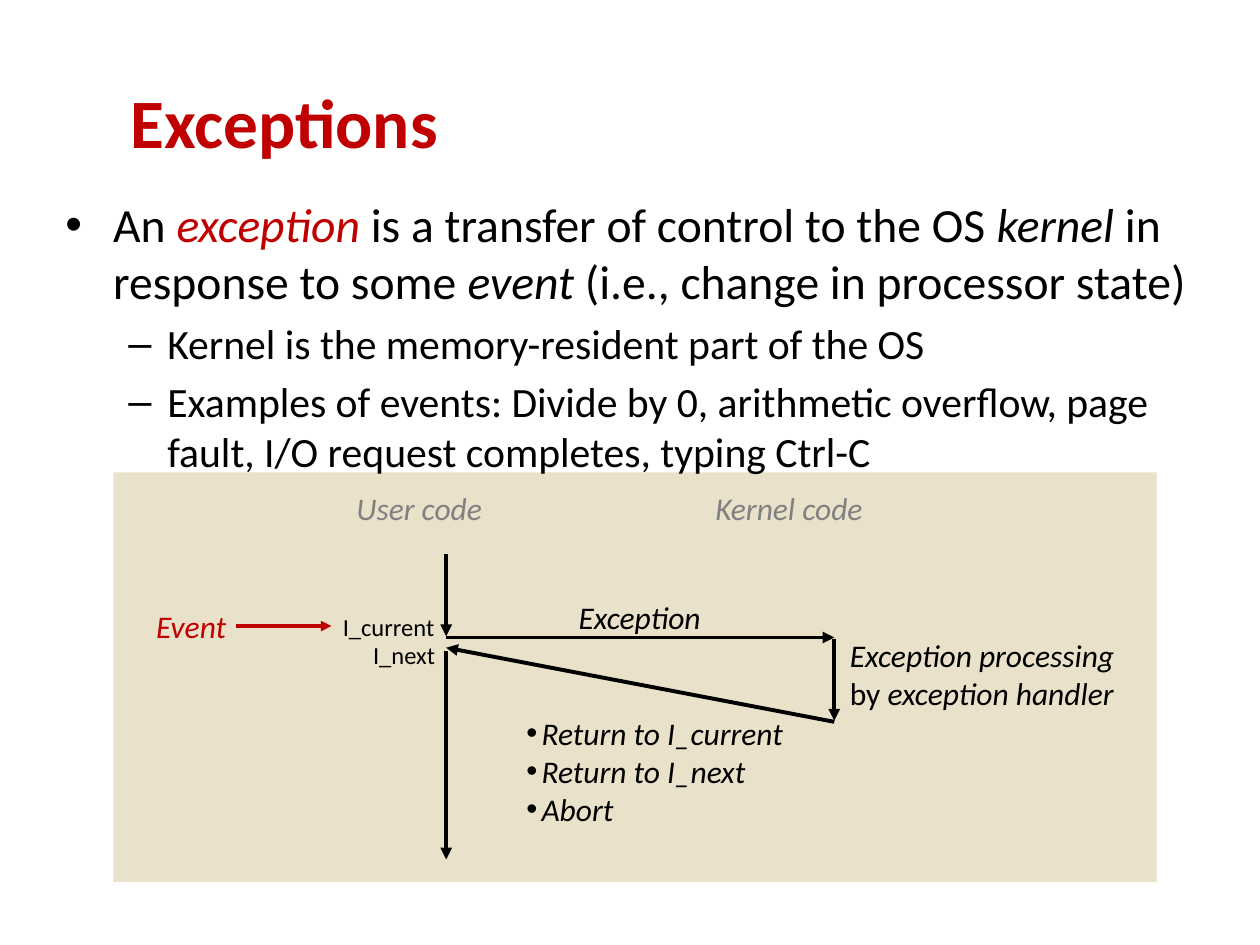
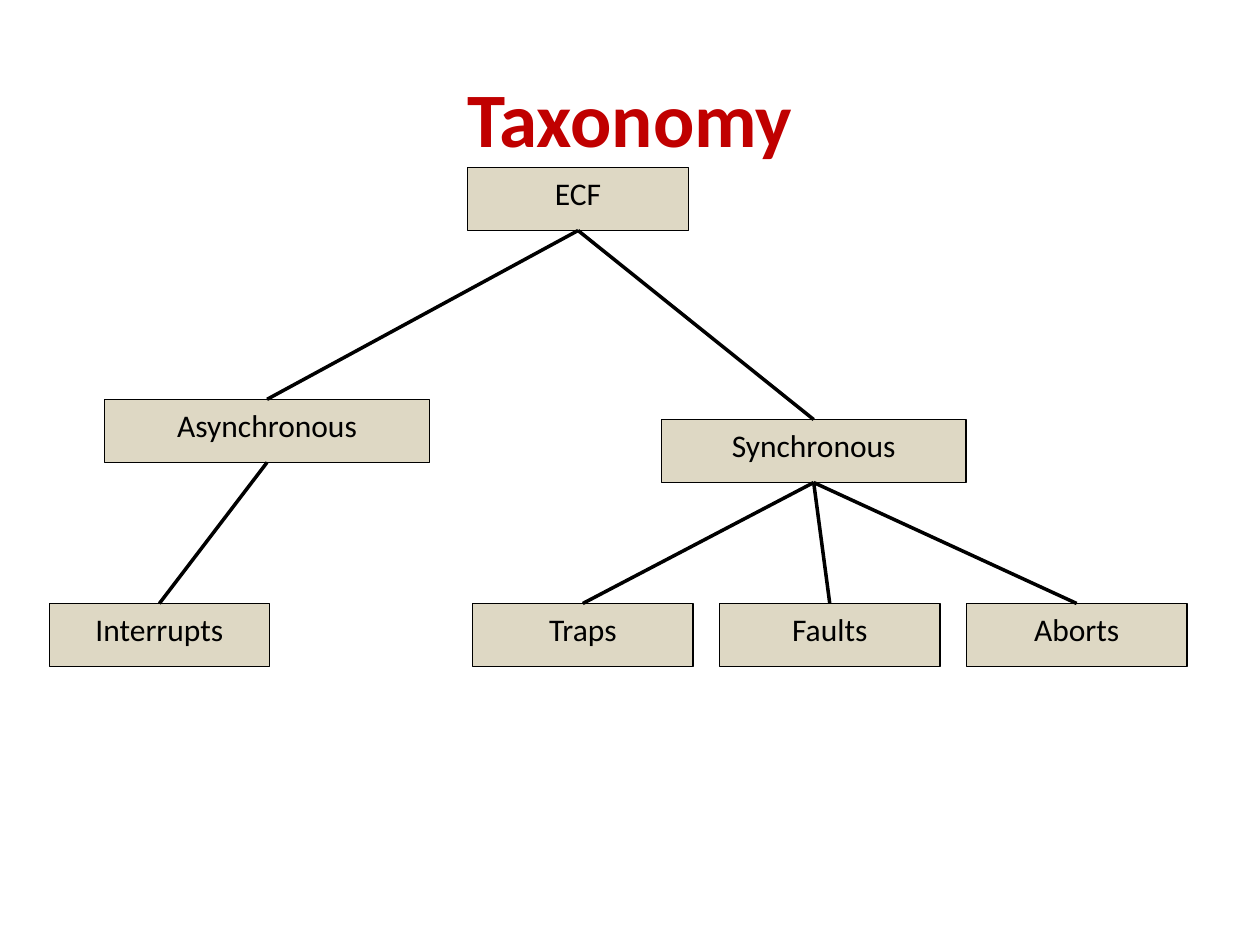
from dataclasses import dataclass

from pptx import Presentation
from pptx.dml.color import RGBColor
from pptx.enum.shapes import MSO_CONNECTOR, MSO_SHAPE
from pptx.enum.text import MSO_ANCHOR, PP_ALIGN
from pptx.oxml.ns import qn
from pptx.util import Inches, Pt
from lxml import etree

STRAIGHT = MSO_CONNECTOR.STRAIGHT
RECTANGLE = MSO_SHAPE.RECTANGLE
TOP, MIDDLE = MSO_ANCHOR.TOP, MSO_ANCHOR.MIDDLE
LEFT, CENTER = PP_ALIGN.LEFT, PP_ALIGN.CENTER
BOTTOM_SITE, TOP_SITE = 2, 0

FONT = "Calibri"
RED, BLACK, GRAY = "C00000", "000000", "808080"
PANEL_FILL, NODE_FILL = "E9E1C9", "DED8C4"
ITALIC = {"italic": True}


@dataclass
class Box:
    """A rectangle in inches; its contents are placed in percent of its size."""
    left: float
    top: float
    width: float
    height: float

    def point(self, x, y):
        return (Inches(self.left + self.width * x / 100),
                Inches(self.top + self.height * y / 100))

    def area(self, x, y, width, height):
        return Box(self.left + self.width * x / 100,
                   self.top + self.height * y / 100,
                   self.width * width / 100, self.height * height / 100)

    def lengths(self):
        return [Inches(n) for n in (self.left, self.top, self.width, self.height)]


PAGE = Box(0, 0, 10, 7.5)


def rgb(color):
    return RGBColor.from_string(color)


def set_values(target, values):
    for name, value in values.items():
        setattr(target, name, value)


def add_runs(paragraph, runs, size, color=BLACK, **font_values):
    """Each run is a string or a (string, overriding format values) pair."""
    for item in runs:
        text, changes = (item, {}) if isinstance(item, str) else item
        values = {"name": FONT, "size": Pt(size), **font_values, **changes}
        run_color = values.pop("color", color)
        run = paragraph.add_run()
        run.text = text
        set_values(run.font, values)
        run.font.color.rgb = rgb(run_color)


def add_bullet(paragraph, character, indent, hanging):
    properties = paragraph._p.get_or_add_pPr()
    properties.set("marL", str(Inches(indent)))
    properties.set("indent", str(-Inches(hanging)))
    font = etree.SubElement(properties, qn("a:buFont"))
    font.set("typeface", "Arial")
    etree.SubElement(properties, qn("a:buChar")).set("char", character)


def add_text(slide, box, paragraphs, size=18, wrap=True, bullet=None, **font_values):
    frame = slide.shapes.add_textbox(*box.lengths()).text_frame
    frame.word_wrap = wrap
    for index, runs in enumerate(paragraphs):
        paragraph = frame.paragraphs[0] if index == 0 else frame.add_paragraph()
        paragraph.alignment = LEFT
        add_runs(paragraph, runs, size, **font_values)
        if bullet:
            add_bullet(paragraph, *bullet)


def add_rectangle(slide, box, fill, line=None):
    shape = slide.shapes.add_shape(RECTANGLE, *box.lengths())
    shape.shadow.inherit = False
    shape.fill.solid()
    shape.fill.fore_color.rgb = rgb(fill)
    if line:
        shape.line.color.rgb = rgb(line)
        shape.line.width = Pt(0.75)
    else:
        shape.line.fill.background()
    return shape


def add_line(slide, start, end, color=BLACK, width=2, arrow=False):
    connector = slide.shapes.add_connector(STRAIGHT, *start, *end)
    connector.line.color.rgb = rgb(color)
    connector.line.width = Pt(width)
    properties = connector._element.spPr
    if arrow:
        tail = etree.SubElement(properties.find(qn("a:ln")), qn("a:tailEnd"))
        tail.set("type", "triangle")
    etree.SubElement(properties, qn("a:effectLst"))
    return connector


def add_titled_slide(presentation, title, box, size, anchor):
    slide = presentation.slides.add_slide(presentation.slide_layouts[5])
    shape = slide.shapes.title
    set_values(shape, dict(zip(("left", "top", "width", "height"), box.lengths())))
    set_values(shape.text_frame, {"vertical_anchor": anchor, "word_wrap": True})
    paragraph = shape.text_frame.paragraphs[0]
    paragraph.alignment = CENTER
    add_runs(paragraph, [title], size, RED, bold=True)
    return slide


def add_definition(slide, box):
    """Bulleted definition with its two sub-points."""
    main_point = ("•", 0.38, 0.38), 27.2
    sub_point = ("–", 0.81, 0.31), 23.8
    points = [
        (main_point, ["An ", ("exception", {"color": RED, **ITALIC}),
                      " is a transfer of control to the OS ", ("kernel", ITALIC),
                      " in response to some ", ("event", ITALIC),
                      " (i.e., change in processor state)"]),
        (sub_point, ["Kernel is the memory-resident part of the OS"]),
        (sub_point, ["Examples of events: Divide by 0, arithmetic overflow, "
                     "page fault, I/O request completes, typing Ctrl-C"]),
    ]
    frame = slide.shapes.add_textbox(*box.lengths()).text_frame
    frame.word_wrap = True
    for index, ((bullet, size), runs) in enumerate(points):
        paragraph = frame.paragraphs[0] if index == 0 else frame.add_paragraph()
        paragraph.space_before = Pt(size * 0.2)
        add_runs(paragraph, runs, size)
        add_bullet(paragraph, *bullet)


def add_control_flow(slide, box):
    """Panel showing control passing from user code to the kernel and back."""
    add_rectangle(slide, box, PANEL_FILL)

    # Column headings
    for heading, x, width in (("User code", 22.1, 20.4), ("Kernel code", 56.5, 23.6)):
        add_text(slide, box.area(x, 2.5, width, 15.4), [[heading]], color=GRAY, **ITALIC)

    # Flow of control
    user, kernel = 31.9, 69.1
    flow = [
        ((user, 20), (user, 40)),
        ((user, 40.3), (kernel, 40.3)),
        ((kernel, 40.6), (kernel, 60.6)),
        ((kernel, 60.9), (user, 42.8)),
        ((user, 43.7), (user, 94.5)),
    ]
    for start, end in flow:
        add_line(slide, box.point(*start), box.point(*end), width=2.25, arrow=True)

    # Event and the instructions around it
    add_text(slide, box.area(2.9, 31.4, 10.6, 12.3), [["Event"]], color=RED, **ITALIC)
    add_line(slide, box.point(11.8, 37.5), box.point(20.9, 37.5), RED, arrow=True)
    for instruction, x, y, width in (("I_current", 20.8, 32.6, 11.5),
                                     ("I_next", 23.7, 39.4, 8.6)):
        add_text(slide, box.area(x, y, width, 10.5), [[instruction]], 14, wrap=False)

    # Kernel side and the ways to return
    add_text(slide, box.area(43.4, 29.2, 15.1, 12.3), [["Exception"]], **ITALIC)
    add_text(slide, box.area(69.4, 38.5, 28.4, 31.1),
             [["Exception processing"], [("by ", {"italic": False}), "exception handler"]],
             **ITALIC)
    add_text(slide, box.area(38.4, 57.5, 27.7, 31.1),
             [["Return to I_current"], ["Return to I_next"], ["Abort"]],
             bullet=("•", 0.12, 0.12), **ITALIC)


def add_taxonomy_tree(slide, box):
    """Tree of labelled boxes joined by glued lines."""
    node_height, leaf_width, leaf_step = 12.63, 19.38, 21.7
    leaf_top, last_leaf = 100 - node_height, 100 - leaf_width
    nodes = {
        "ECF": (36.8, 0, leaf_width),
        "Asynchronous": (4.87, 46.46, 28.57),
        "Synchronous": (53.8, 50.5, 26.8),
        "Interrupts": (0, leaf_top, leaf_width),
    }
    for steps_back, label in enumerate(("Aborts", "Faults", "Traps")):
        nodes[label] = (last_leaf - steps_back * leaf_step, leaf_top, leaf_width)
    children = {
        "ECF": ("Asynchronous", "Synchronous"),
        "Asynchronous": ("Interrupts",),
        "Synchronous": ("Traps", "Faults", "Aborts"),
    }

    # Nodes
    shapes = {}
    for label, (x, y, width) in nodes.items():
        shape = add_rectangle(slide, box.area(x, y, width, node_height), NODE_FILL, BLACK)
        shape.text_frame.vertical_anchor = TOP
        paragraph = shape.text_frame.paragraphs[0]
        paragraph.alignment = CENTER
        add_runs(paragraph, [label], 18)
        shapes[label] = shape

    # Branches
    for parent, labels in children.items():
        for label in labels:
            branch = add_line(slide, (0, 0), (0, 0))
            branch.begin_connect(shapes[parent], BOTTOM_SITE)
            branch.end_connect(shapes[label], TOP_SITE)


def main():
    presentation = Presentation()
    presentation.slide_width = Inches(PAGE.width)
    presentation.slide_height = Inches(PAGE.height)

    exceptions = add_titled_slide(presentation, "Exceptions",
                                  PAGE.area(4.2, 7.73, 36.7, 8.4), 39.6, TOP)
    add_control_flow(exceptions, PAGE.area(9, 50, 82.8, 43.33))
    add_definition(exceptions, PAGE.area(4.2, 20, 95, 27.73))

    taxonomy = add_titled_slide(presentation, "Taxonomy",
                                PAGE.area(5, 4, 90, 16.67), 44, MIDDLE)
    add_taxonomy_tree(taxonomy, PAGE.area(3.9, 17.73, 90.3, 52.8))

    presentation.save("out.pptx")


if __name__ == "__main__":
    main()
